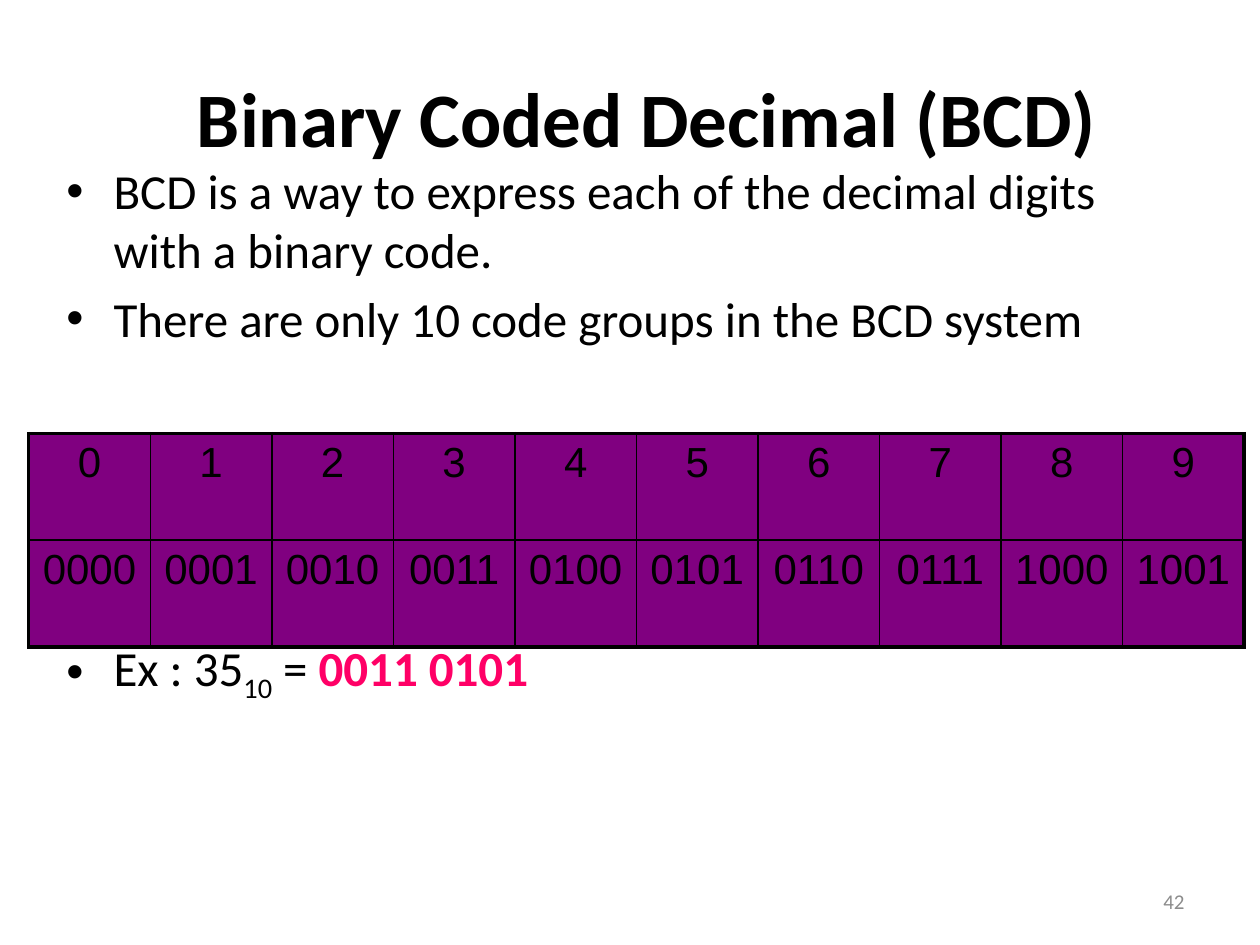
from dataclasses import dataclass

from lxml import etree
from pptx import Presentation
from pptx.dml.color import RGBColor
from pptx.enum.text import MSO_ANCHOR, PP_ALIGN
from pptx.oxml.ns import qn
from pptx.util import Cm, Pt

CENTER, RIGHT = PP_ALIGN.CENTER, PP_ALIGN.RIGHT
TOP, MIDDLE = MSO_ANCHOR.TOP, MSO_ANCHOR.MIDDLE


@dataclass(frozen=True)
class Theme:
    font: str = "Calibri"
    table_font: str = "Arial"
    ink: str = "000000"
    accent: str = "FF0066"
    cell: str = "800080"
    muted: str = "8C8C8C"
    title: float = 44
    body: float = 28
    table: float = 24
    number: float = 12
    outer: float = 2.25
    inner: float = 1


T = Theme()


def add_run(p, text, size, color=T.ink, font=T.font, bold=False):
    r = p.add_run()
    r.text = text
    r.font.name = font
    r.font.size = Pt(size)
    r.font.bold = bold
    r.font.color.rgb = RGBColor.from_string(color)
    return r


def add_title(s, text):
    sp = s.shapes.title
    sp.left, sp.top, sp.width, sp.height = Cm(1.27), Cm(0.76), Cm(22.86), Cm(3.18)
    tf = sp.text_frame
    tf.word_wrap = True
    tf.vertical_anchor = MIDDLE
    tf.margin_left = Cm(0.95)
    p = tf.paragraphs[0]
    p.alignment = CENTER
    add_run(p, text, T.title, bold=True)


def add_box(s, left, top, width, height, anchor=TOP):
    tf = s.shapes.add_textbox(Cm(left), Cm(top), Cm(width), Cm(height)).text_frame
    tf.word_wrap = True
    tf.vertical_anchor = anchor
    return tf


def make_bullet(p):
    pPr = p._p.get_or_add_pPr()
    pPr.set("marL", str(Cm(0.95)))
    pPr.set("indent", str(-Cm(0.95)))
    etree.SubElement(pPr, qn("a:buFont"), typeface="Arial")
    etree.SubElement(pPr, qn("a:buChar"), char="•")


def add_bullets(s, top, height, items):
    tf = add_box(s, 1.09, top, 23.22, height)
    for i, runs in enumerate(items):
        p = tf.add_paragraph() if i else tf.paragraphs[0]
        make_bullet(p)
        if i:
            p.space_before = Pt(0.2 * T.body)
        for text, color, bold, baseline in runs:
            r = add_run(p, text, T.body, color, bold=bold)
            if baseline:
                r.font._element.set("baseline", str(baseline))


def set_border(cell, side, width):
    ln = etree.SubElement(cell._tc.get_or_add_tcPr(), qn(f"a:{side}"), w=str(Pt(width)))
    fill = etree.SubElement(ln, qn("a:solidFill"))
    etree.SubElement(fill, qn("a:srgbClr"), val=T.ink)


def add_code_table(s, rows):
    n_rows, n_cols = len(rows), len(rows[0])
    col_w, row_h = Cm(2.45), Cm(2.15)
    table = s.shapes.add_table(n_rows, n_cols, Cm(0.58), Cm(8.74),
                               col_w * n_cols, row_h * n_rows).table
    for col in table.columns:
        col.width = col_w
    for i, row in enumerate(rows):
        table.rows[i].height = row_h
        for j, text in enumerate(row):
            cell = table.cell(i, j)
            edges = {"lnL": j == 0, "lnR": j == n_cols - 1,
                     "lnT": i == 0, "lnB": i == n_rows - 1}
            for side, is_outer in edges.items():
                set_border(cell, side, T.outer if is_outer else T.inner)
            cell.fill.solid()
            cell.fill.fore_color.rgb = RGBColor.from_string(T.cell)
            p = cell.text_frame.paragraphs[0]
            p.alignment = CENTER
            add_run(p, text, T.table, font=T.table_font)


def add_slide_number(s, number):
    p = add_box(s, 18.21, 17.65, 5.92, 1.02, MIDDLE).paragraphs[0]
    p.alignment = RIGHT
    add_run(p, number, T.number, T.muted)


def main():
    prs = Presentation()
    prs.slide_width, prs.slide_height = Cm(25.4), Cm(19.05)
    s = prs.slides.add_slide(prs.slide_layouts[5])
    add_title(s, "Binary Coded Decimal (BCD)")
    add_bullets(s, 3.12, 5, [
        [("BCD is a way to express each of the decimal digits with a binary code.",
          T.ink, False, 0)],
        [("There are only 10 code groups in the BCD system", T.ink, False, 0)],
    ])
    add_bullets(s, 12.73, 1.6, [
        [("Ex : 35", T.ink, False, 0), ("10", T.ink, False, -25000),
         (" = ", T.ink, False, 0), ("0011 0101", T.accent, True, 0)],
    ])
    add_code_table(s, [[str(d) for d in range(10)], [f"{d:04b}" for d in range(10)]])
    add_slide_number(s, "42")
    prs.save("out.pptx")


if __name__ == "__main__":
    main()
